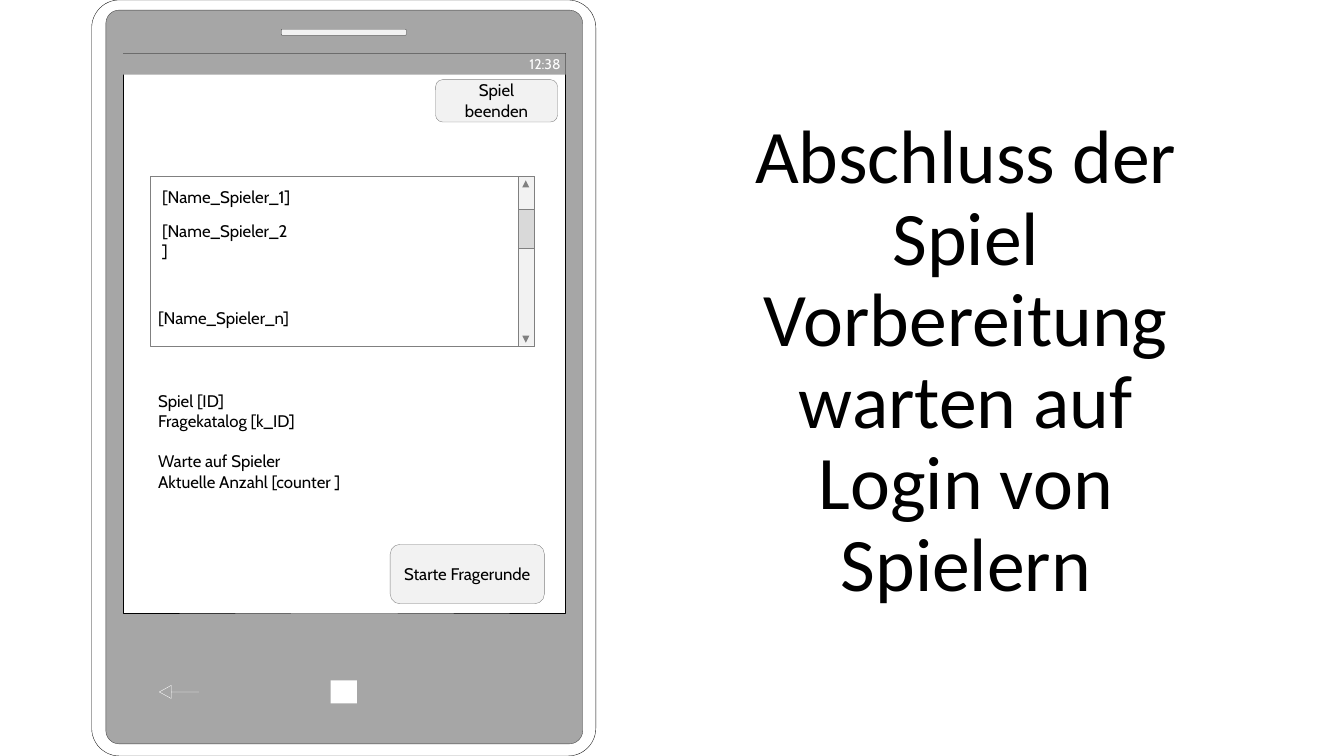
from pptx import Presentation
from pptx.dml.color import RGBColor
from pptx.enum.shapes import MSO_SHAPE
from pptx.enum.text import MSO_ANCHOR, PP_ALIGN
from pptx.util import Inches, Pt

COLORS = {
    "white": "FFFFFF", "black": "000000", "case_edge": "0D0D0D", "dark": "404040",
    "body": "A6A6A6", "control": "F2F2F2", "thumb": "D9D9D9", "border": "808080",
}


def add_box(kind, box, fill=None, line=None, adjustments=()):
    shape = slide.shapes.add_shape(kind, *map(Inches, box))
    shape.shadow.inherit = False
    for index, value in enumerate(adjustments):
        shape.adjustments[index] = value
    if fill:
        shape.fill.solid()
        shape.fill.fore_color.rgb = RGBColor.from_string(COLORS[fill])
    else:
        shape.fill.background()
    if line:
        shape.line.color.rgb = RGBColor.from_string(COLORS[line])
        shape.line.width = Pt(0.25)
    else:
        shape.line.fill.background()
    return shape


def set_text(shape, lines, margins, size=12, font="Cabin", color="black",
             align=PP_ALIGN.LEFT, anchor=MSO_ANCHOR.MIDDLE):
    """Fill the shape with one paragraph per line; margins are left, top, right, bottom."""
    frame = shape.text_frame
    frame.word_wrap = True
    frame.vertical_anchor = anchor
    (frame.margin_left, frame.margin_top,
     frame.margin_right, frame.margin_bottom) = map(Inches, margins)
    frame.text = "\n".join(lines)
    for paragraph in frame.paragraphs:
        paragraph.alignment = align
        paragraph.font.size = Pt(size)
        paragraph.font.name = font
        paragraph.font.color.rgb = RGBColor.from_string(COLORS[color])
    return frame.paragraphs


presentation = Presentation()
presentation.slide_width = Inches(13.33)
presentation.slide_height = Inches(7.5)
slide = presentation.slides.add_slide(presentation.slide_layouts[6])

# Phone
add_box(MSO_SHAPE.ROUNDED_RECTANGLE, (0.91, 0, 5, 7.5), "white", "case_edge", [0.055])
add_box(MSO_SHAPE.ROUNDED_RECTANGLE, (1.05, 0.1, 4.73, 7.28), "body", "dark", [0.028])
add_box(MSO_SHAPE.RECTANGLE, (1.22, 0.53, 4.39, 5.55), "white", "black")
add_box(MSO_SHAPE.LEFT_ARROW, (1.58, 6.8, 0.39, 0.13), None, "white", [0, 0.912])
add_box(MSO_SHAPE.RECTANGLE, (3.28, 6.75, 0.26, 0.23), "white")
add_box(MSO_SHAPE.ROUNDED_RECTANGLE, (2.79, 0.29, 1.24, 0.06), "control", "dark")
status_bar = add_box(MSO_SHAPE.RECTANGLE, (1.22, 0.53, 4.39, 0.21), "body")
set_text(status_bar, ["12:38"], [0.05] * 4, size=10, color="white", align=PP_ALIGN.RIGHT)

# Title
title = slide.shapes.add_textbox(Inches(7.28), Inches(4.19), Inches(4.6), Inches(1.89))
title_paragraphs = set_text(
    title, ["Abschluss der Spiel Vorbereitung warten auf Login von Spielern"],
    (0.1, 0.05, 0.1, 0.05), size=54, font="Calibri",
    align=PP_ALIGN.CENTER, anchor=MSO_ANCHOR.BOTTOM)
title_paragraphs[0].line_spacing = 0.9

# Player list with scroll bar
add_box(MSO_SHAPE.RECTANGLE, (1.49, 1.75, 3.81, 1.68), "white", "border")
add_box(MSO_SHAPE.RECTANGLE, (5.14, 1.75, 0.16, 1.68), "control", "border")
add_box(MSO_SHAPE.RECTANGLE, (5.14, 2.08, 0.16, 0.38), "thumb", "border")
for top, rotation in ((1.79, 0), (3.33, 180)):
    scroll_arrow = add_box(MSO_SHAPE.ISOSCELES_TRIANGLE, (5.18, top, 0.07, 0.07), "border")
    scroll_arrow.rotation = rotation

# Labels
LABEL_MARGINS = (0.1, 0.02, 0.1, 0.03)
info = slide.shapes.add_textbox(Inches(1.47), Inches(3.85), Inches(3.76), Inches(1.06))
info_paragraphs = set_text(
    info, ["Spiel [ID]", "Fragekatalog [k_ID]", "Warte auf Spieler",
           "Aktuelle Anzahl [counter ]"], LABEL_MARGINS)
info_paragraphs[2].space_before = Pt(14.5)

for suffix, left, top, width in (("1", 1.51, 1.83, 1.52), ("2", 1.51, 2.27, 1.47),
                                 ("n", 1.47, 3.03, 1.78)):
    player = slide.shapes.add_textbox(Inches(left), Inches(top), Inches(width), Inches(0.25))
    set_text(player, [f"[Name_Spieler_{suffix}]"], LABEL_MARGINS)

# Buttons
for caption, box in (("Starte Fragerunde", (3.87, 5.4, 1.53, 0.59)),
                     ("Spiel beenden", (4.32, 0.79, 1.21, 0.42))):
    button = add_box(MSO_SHAPE.ROUNDED_RECTANGLE, box, "control", "border")
    set_text(button, [caption], (0.1, 0, 0.1, 0.01), align=PP_ALIGN.CENTER)

presentation.save("out.pptx")
